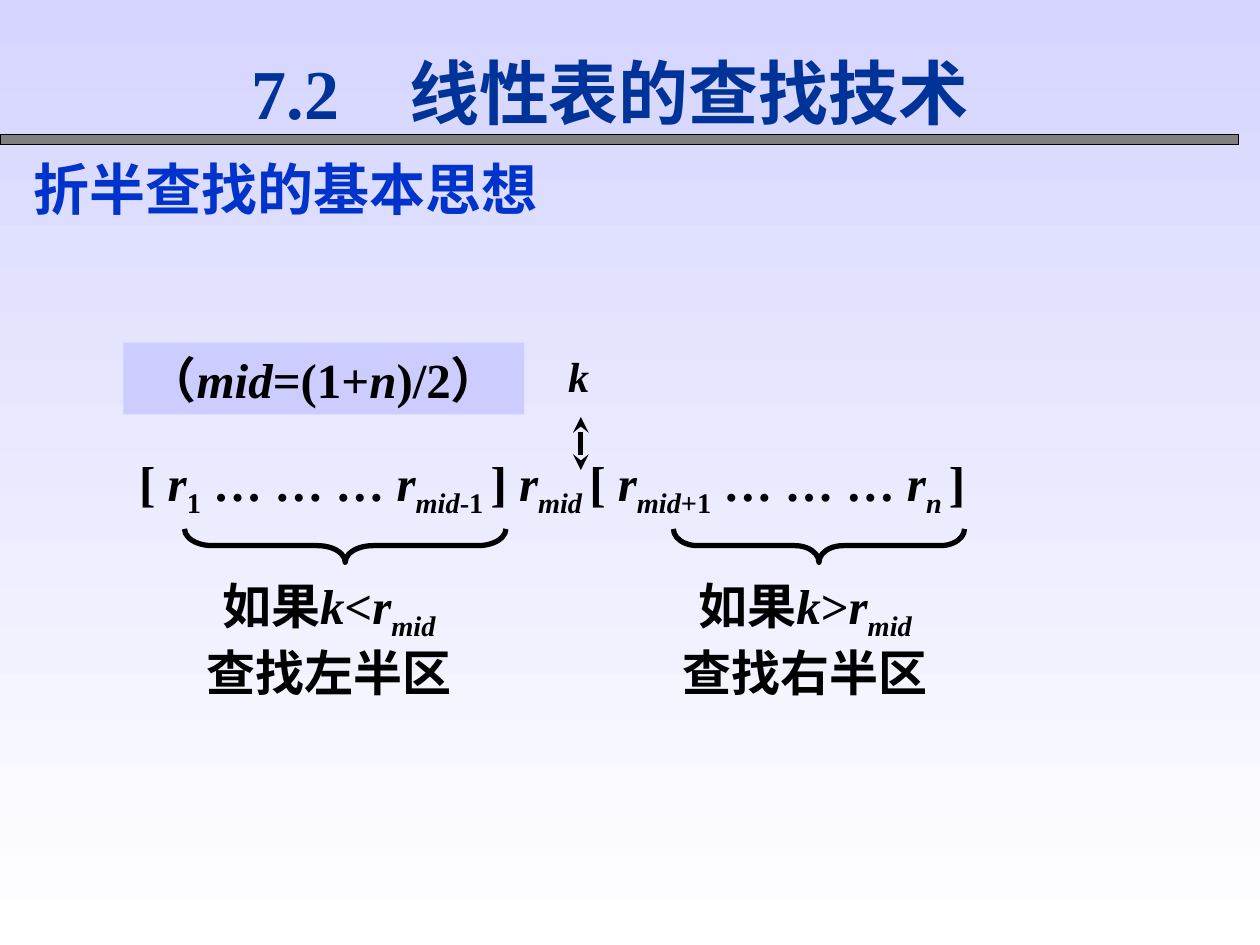
import dataclasses

import pptx
import pptx.dml.color
import pptx.enum.shapes
import pptx.enum.text
import pptx.oxml
import pptx.oxml.ns
import pptx.util

CELL = 0.1  # inches; the slide is a grid of 100 columns by 75 rows
COLUMNS, ROWS = 100, 75
LATIN, CHINESE = "Times New Roman", "Noto Sans CJK SC"
SHAPES = pptx.enum.shapes.MSO_SHAPE
ALIGN = pptx.enum.text.PP_ALIGN
ANCHOR = pptx.enum.text.MSO_ANCHOR
PLAIN, ITALIC, SUB, ITALIC_SUB = (False, False), (True, False), (False, True), (True, True)

FORMULA = [
    (" ", ITALIC), ("[", PLAIN), (" r", ITALIC), ("1", SUB), (" … … … ", PLAIN),
    ("r", ITALIC), ("mid", ITALIC_SUB), ("-1 ", SUB), ("] ", PLAIN),
    ("r", ITALIC), ("mid ", ITALIC_SUB), ("[ ", PLAIN),
    ("r", ITALIC), ("mid", ITALIC_SUB), ("+1", SUB), (" … … … ", PLAIN),
    ("r", ITALIC), ("n ", ITALIC_SUB), ("]", PLAIN),
]
MIDPOINT = [("（", PLAIN), ("mid", ITALIC), ("=(1+", PLAIN), ("n", ITALIC), (")/2）", PLAIN)]


@dataclasses.dataclass
class Region:
    left: float
    top: float

    def place(self, *cells):
        """Turn left, top and any width, height in cells into slide lengths."""
        offsets = (self.left, self.top, 0, 0)
        return [pptx.util.Inches((cell + offset) * CELL) for cell, offset in zip(cells, offsets)]


def color(value):
    return pptx.dml.color.RGBColor.from_string(value)


def xml(text):
    namespace = pptx.oxml.ns.nsdecls("a")
    return pptx.oxml.parse_xml(text.replace(" ", f" {namespace} ", 1))


def write(shape, lines, size, ink="000000", latin=LATIN, align=ALIGN.LEFT, spacing=None):
    """Fill a shape with lines, each a list of (text, (italic, subscript))."""
    frame = shape.text_frame
    for index, line in enumerate(lines):
        paragraph = frame.paragraphs[0] if index == 0 else frame.add_paragraph()
        paragraph.alignment = align
        paragraph.line_spacing = spacing
        for text, (italic, subscript) in line:
            run = paragraph.add_run()
            run.text = text
            font_values = {"name": latin, "size": pptx.util.Pt(size), "bold": True, "italic": italic}
            for attribute, value in font_values.items():
                setattr(run.font, attribute, value)
            run.font.color.rgb = color(ink)
            properties = run.font._element
            properties.find(pptx.oxml.ns.qn("a:latin")).addnext(xml(f'<a:ea typeface="{CHINESE}"/>'))
            if subscript:
                properties.set("baseline", "-25000")


def add_text(slide, place, lines, size, margins=True, wrap=True, anchor=ANCHOR.TOP, **style):
    box = slide.shapes.add_textbox(*place)
    frame_values = {"word_wrap": wrap, "vertical_anchor": anchor}
    if not margins:
        frame_values |= {f"margin_{side}": 0 for side in ("left", "top", "right", "bottom")}
    for attribute, value in frame_values.items():
        setattr(box.text_frame, attribute, value)
    write(box, lines, size, **style)
    return box


def add_filled(slide, place, fill):
    rectangle = slide.shapes.add_shape(SHAPES.RECTANGLE, *place)
    rectangle.shadow.inherit = False
    rectangle.fill.solid()
    rectangle.fill.fore_color.rgb = color(fill)
    rectangle.line.fill.background()
    return rectangle


def set_line(line, width):
    line.color.rgb = color("000000")
    line.width = pptx.util.Pt(width)


def paint_background(slide):
    fill = slide.background.fill
    fill.gradient()
    fill.gradient_angle = 270
    for stop, value in zip(fill.gradient_stops, ("D5D5FF", "FFFFFF")):
        stop.color.rgb = color(value)


def header(slide, region):
    rule = add_filled(slide, region.place(0, 10.7, 98.3, 0.8), "808080")
    set_line(rule.line, 0.75)
    topic = add_text(slide, region.place(1.7, 11.8, 70, 6.4), [[("折半查找的基本思想", PLAIN)]], 32,
                     ink="0033CC", latin=CHINESE)
    ink = topic.text_frame.paragraphs[0].runs[0].font._element.find(pptx.oxml.ns.qn("a:solidFill"))
    ink.addnext(xml('<a:effectLst ><a:outerShdw dist="35921" dir="2700000">'
                    '<a:srgbClr val="808080"/></a:outerShdw></a:effectLst>'))
    add_text(slide, region.place(19, 3.5, 65.5, 7.5), [[("7.2　线性表的查找技术", PLAIN)]], 40,
             ink="003399", anchor=ANCHOR.MIDDLE)


def half(slide, region, center, width, caption_center, relation, action, bend):
    """Draw one half of the list: a brace opening upwards and its caption."""
    depth, middle = 2.65, 16.1
    brace = slide.shapes.add_shape(
        SHAPES.LEFT_BRACE,
        *region.place(center - depth / 2, middle - width / 2, depth, width))
    brace.rotation = 270
    brace.adjustments[0] = bend
    brace.shadow.inherit = False
    brace.fill.background()
    set_line(brace.line, 3)
    condition = [("如果", PLAIN), ("k", ITALIC), (relation, PLAIN), ("r", ITALIC), ("mid", ITALIC_SUB)]
    caption_width = 30
    add_text(slide, region.place(caption_center - caption_width / 2, 18, caption_width, 11),
             [condition, [(action, PLAIN)]], 28, align=ALIGN.CENTER)


def compare_arrow(slide, region):
    add_text(slide, region.place(36, 1.4, 2.2, 3), [[("k", ITALIC)]], 24,
             margins=False, wrap=False, spacing=0.8)
    column = 37
    arrow = slide.shapes.add_connector(
        pptx.enum.shapes.MSO_CONNECTOR.STRAIGHT,
        *region.place(column, 5.9), *region.place(column, 10.1))
    set_line(arrow.line, 3)
    for end in ("headEnd", "tailEnd"):
        arrow.line._get_or_add_ln().append(xml(f'<a:{end} type="stealth"/>'))
    arrow._element.spPr.append(xml("<a:effectLst />"))


def search_diagram(slide, region):
    add_text(slide, region.place(0, 8.2, 74.3, 6), [FORMULA], 28, align=ALIGN.JUSTIFY)
    half(slide, region, 18.3, 25.5, 17, "<", "查找左半区", 0.83)
    half(slide, region, 55.9, 23.1, 54.8, ">", "查找右半区", 0.72)
    compare_arrow(slide, region)
    midpoint = add_filled(slide, region.place(0.7, 0, 31.8, 5.7), "CCCCFF")
    midpoint.text_frame.word_wrap = False
    write(midpoint, [MIDPOINT], 28, align=ALIGN.CENTER)


def main():
    deck = pptx.Presentation()
    deck.slide_width = pptx.util.Inches(COLUMNS * CELL)
    deck.slide_height = pptx.util.Inches(ROWS * CELL)
    slide = deck.slides.add_slide(deck.slide_layouts[6])
    paint_background(slide)
    header(slide, Region(0, 0))
    search_diagram(slide, Region(9.1, 27.2))
    deck.save("out.pptx")


if __name__ == "__main__":
    main()
